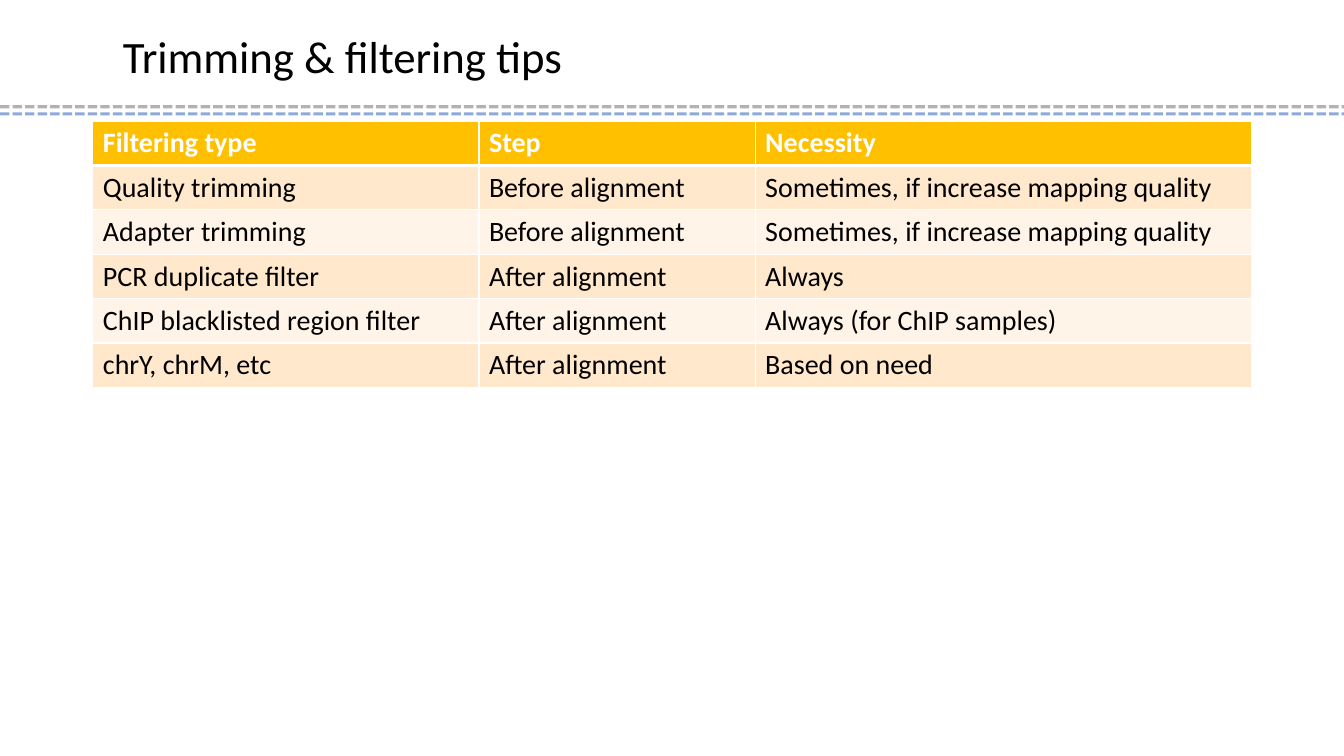
from dataclasses import dataclass

from lxml.etree import SubElement
from pptx import Presentation
from pptx.dml.color import RGBColor
from pptx.enum.dml import MSO_LINE
from pptx.enum.shapes import MSO_CONNECTOR
from pptx.enum.text import MSO_ANCHOR, PP_ALIGN
from pptx.oxml.ns import qn
from pptx.slide import Slide
from pptx.table import _Cell as Cell
from pptx.text.text import _Paragraph as Para
from pptx.util import Cm, Pt

COLORS = {
    "text": "000000",
    "white": "FFFFFF",
    "gray": "808080",
    "blue": "4472C4",
    "header": "FFC000",
    "odd": "FFE8CC",
    "even": "FFF4E7",
}
FONT = "Calibri"
PAGE_WIDTH = Cm(33.87)
COLUMN_WIDTHS = (9.73, 6.96, 12.52)
ROW_HEIGHT = 1.1


@dataclass(frozen=True)
class Rule:
    top: float
    color: str


@dataclass(frozen=True)
class Filtering:
    kind: str
    step: str
    necessity: str


RULES = (Rule(2.69, "gray"), Rule(2.87, "blue"))
HEADER = Filtering("Filtering type", "Step", "Necessity")
FILTERINGS = (
    Filtering("Quality trimming", "Before alignment", "Sometimes, if increase mapping quality"),
    Filtering("Adapter trimming", "Before alignment", "Sometimes, if increase mapping quality"),
    Filtering("PCR duplicate filter", "After alignment", "Always"),
    Filtering("ChIP blacklisted region filter", "After alignment", "Always (for ChIP samples)"),
    Filtering("chrY, chrM, etc", "After alignment", "Based on need"),
)


def rgb(name: str) -> RGBColor:
    return RGBColor.from_string(COLORS[name])


def add_span(para: Para, text: str, size: int, color: str, bold: bool = False) -> None:
    span = para.add_run()
    span.text = text
    span.font.name = FONT
    span.font.size = Pt(size)
    span.font.bold = bold
    span.font.color.rgb = rgb(color)


def draw_rule(page: Slide, rule: Rule) -> None:
    line = page.shapes.add_connector(
        MSO_CONNECTOR.STRAIGHT, 0, Cm(rule.top), PAGE_WIDTH, Cm(rule.top)
    )
    line.line.width = Pt(2.25)
    line.line.color.rgb = rgb(rule.color)
    line.line.dash_style = MSO_LINE.SQUARE_DOT
    properties = line.element.spPr
    color = next(properties.iter(qn("a:srgbClr")))
    SubElement(color, qn("a:alpha"), val="60000")
    SubElement(properties, qn("a:effectLst"))


def draw_title(page: Slide, text: str) -> None:
    title = page.shapes.title
    title.left, title.top = Cm(2.84), Cm(0.46)
    title.width, title.height = Cm(28.68), Cm(2.06)
    title.text_frame.vertical_anchor = MSO_ANCHOR.MIDDLE
    para = title.text_frame.paragraphs[0]
    para.alignment = PP_ALIGN.LEFT
    para.line_spacing = 0.9
    add_span(para, text, 32, "text")


def set_borders(cell: Cell, widths: dict[str, int]) -> None:
    properties = cell._tc.get_or_add_tcPr()
    for side, width in widths.items():
        border = SubElement(properties, qn(f"a:ln{side}"), w=str(Pt(width)))
        fill = SubElement(border, qn("a:solidFill"))
        SubElement(fill, qn("a:srgbClr"), val=COLORS["white"])


def draw_table(page: Slide, records: tuple[Filtering, ...]) -> None:
    frame = page.shapes.add_table(
        len(records), len(COLUMN_WIDTHS), Cm(2.34), Cm(3.05),
        Cm(sum(COLUMN_WIDTHS)), Cm(ROW_HEIGHT * len(records)),
    )
    table = frame.table
    for column, width in zip(table.columns, COLUMN_WIDTHS):
        column.width = Cm(width)
    for index, record in enumerate(records):
        is_header = index == 0
        fill = "header" if is_header else "odd" if index % 2 else "even"
        widths = {"L": 1, "R": 1, "T": 3 if index == 1 else 1, "B": 3 if is_header else 1}
        texts = (record.kind, record.step, record.necessity)
        for cell, text in zip(table.rows[index].cells, texts):
            set_borders(cell, widths)
            cell.fill.solid()
            cell.fill.fore_color.rgb = rgb(fill)
            color = "white" if is_header else "text"
            add_span(cell.text_frame.paragraphs[0], text, 20, color, is_header)


def main() -> None:
    deck = Presentation()
    deck.slide_width, deck.slide_height = PAGE_WIDTH, Cm(19.05)
    page = deck.slides.add_slide(deck.slide_layouts.get_by_name("Title Only"))
    for rule in RULES:
        draw_rule(page, rule)
    draw_title(page, "Trimming & filtering tips")
    draw_table(page, (HEADER, *FILTERINGS))
    deck.save("out.pptx")


if __name__ == "__main__":
    main()
